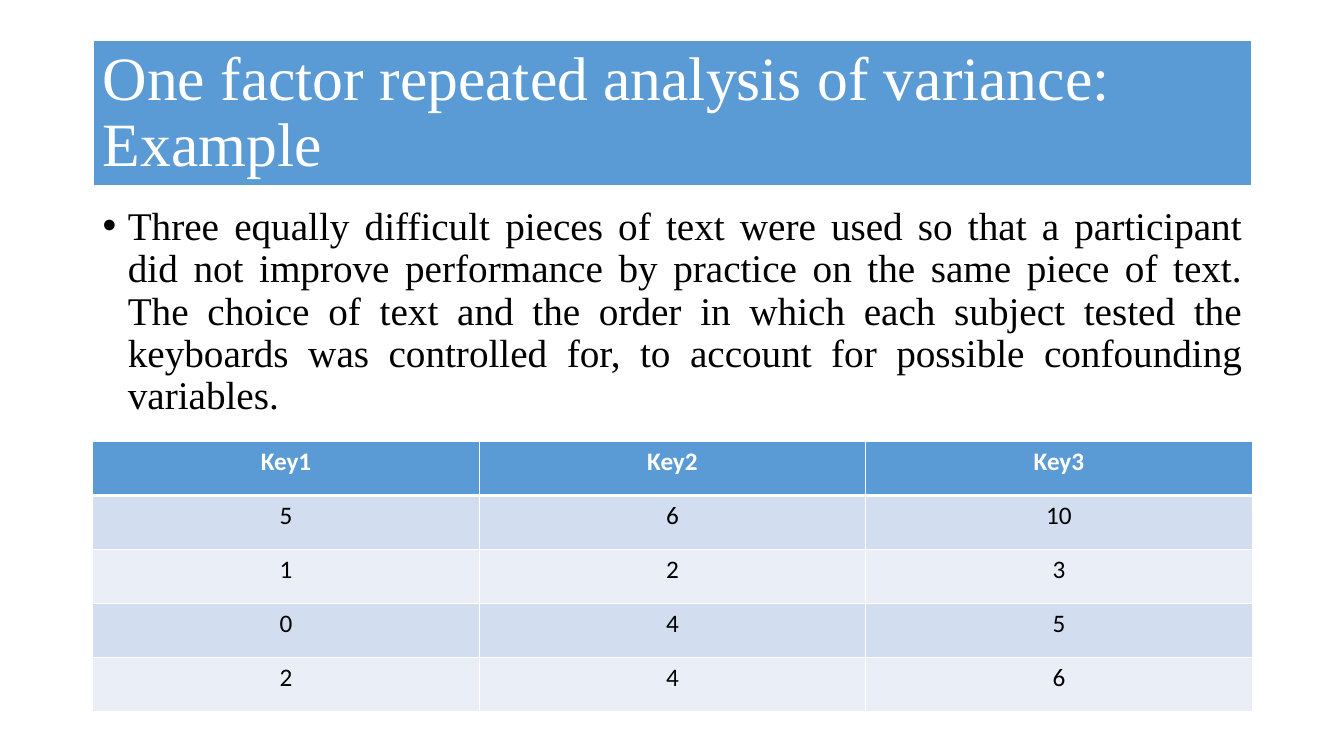
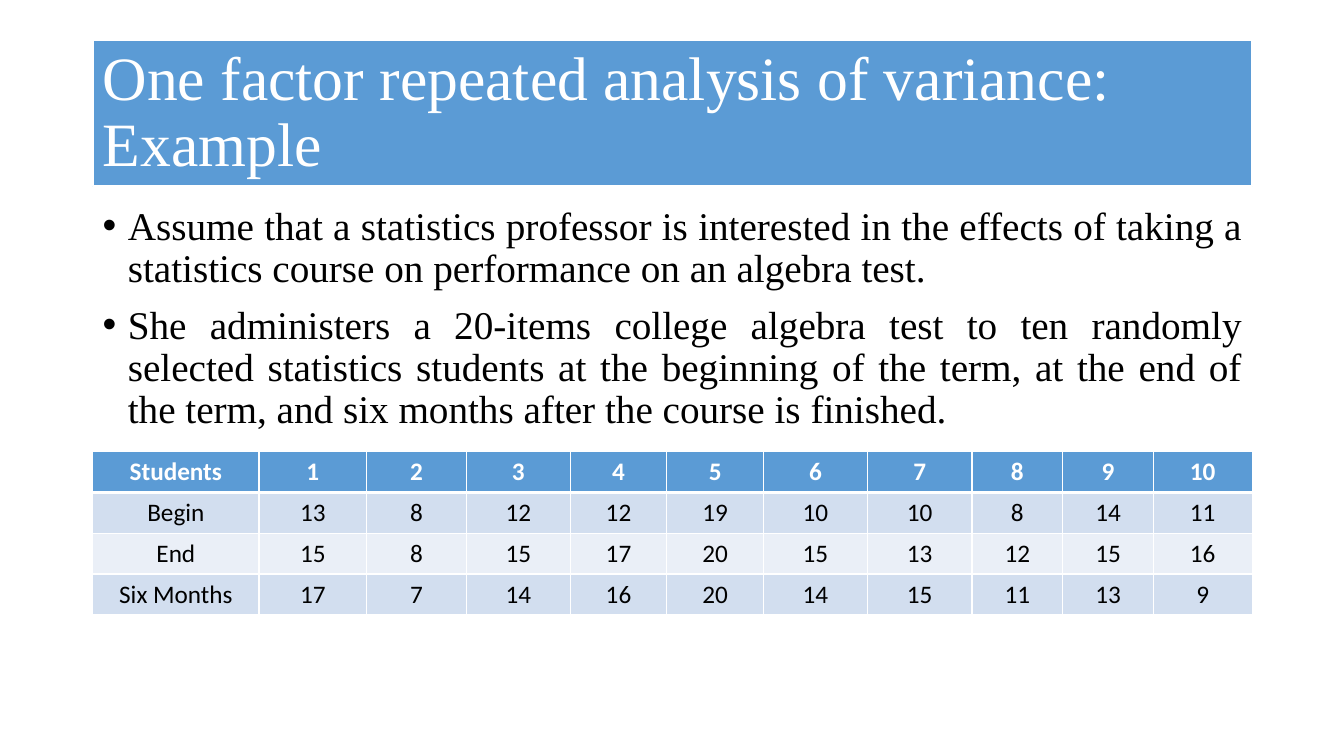
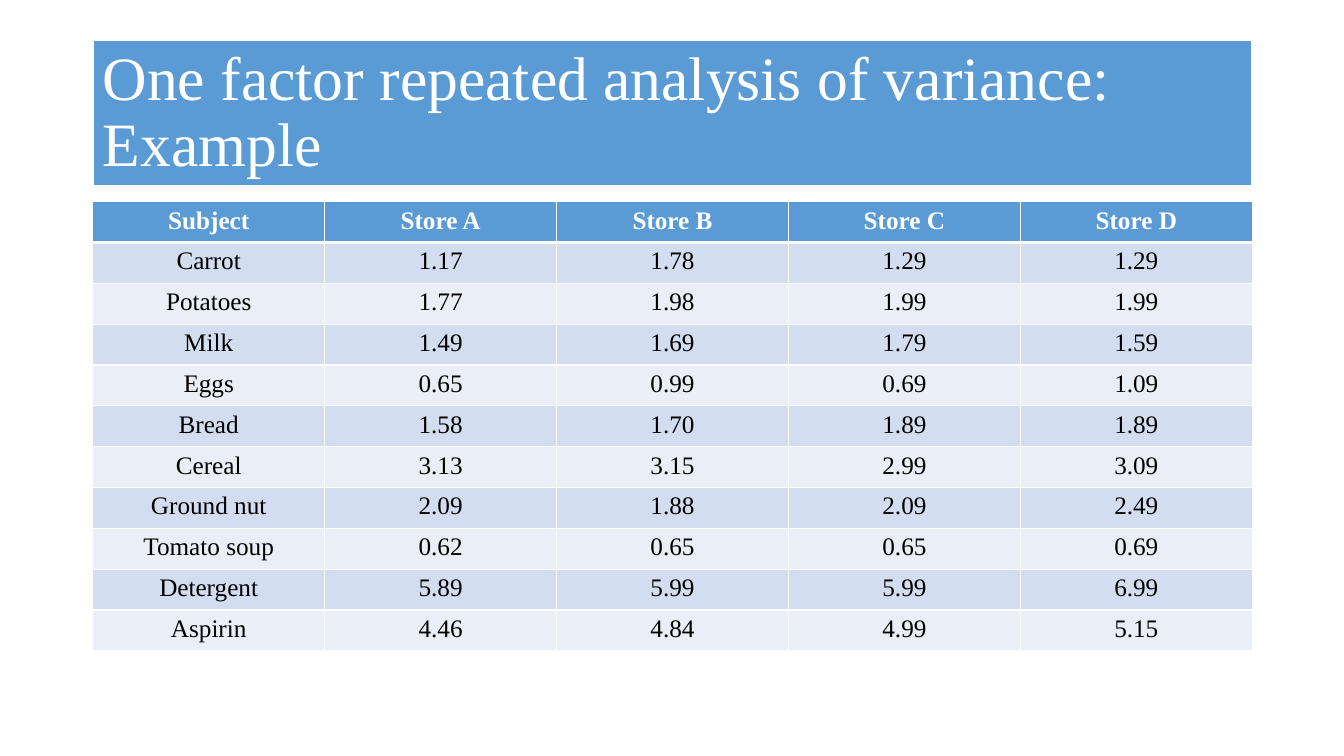
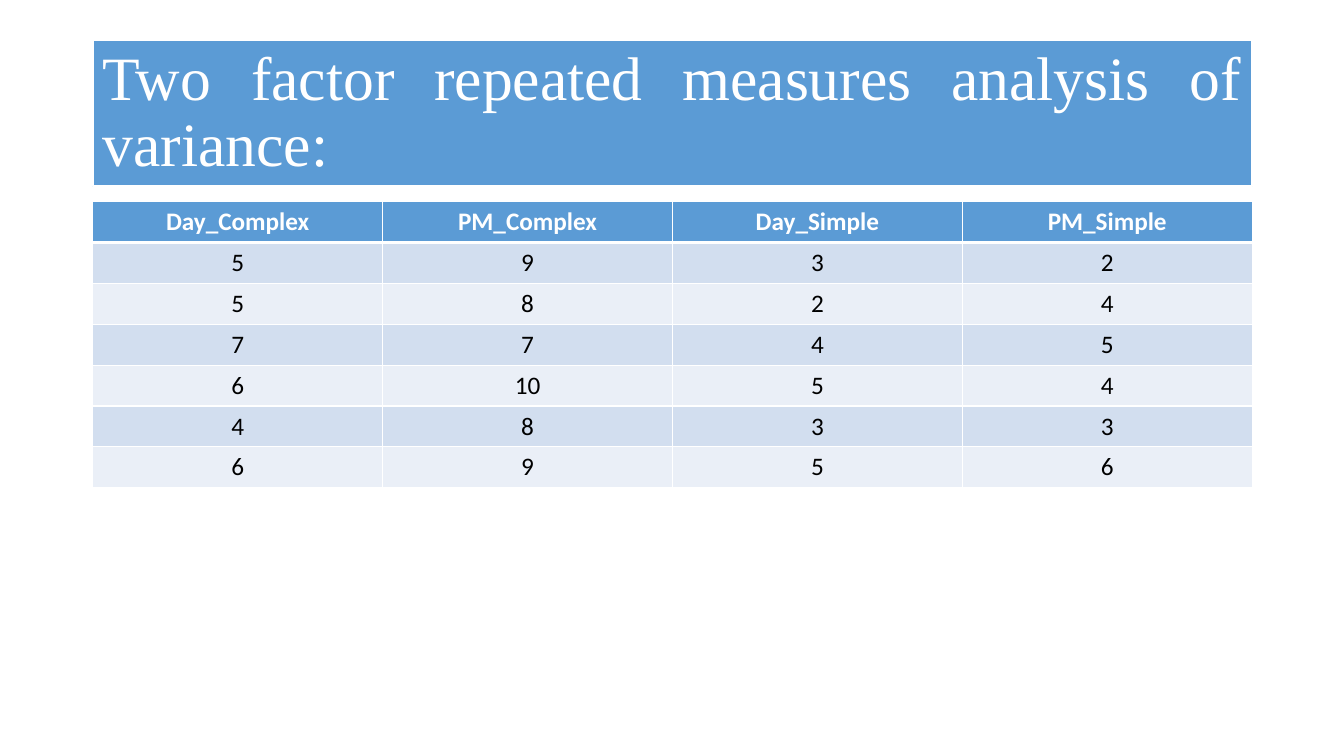
from dataclasses import dataclass

from lxml import etree
from pptx import Presentation
from pptx.dml.color import RGBColor
from pptx.enum.shapes import MSO_SHAPE
from pptx.enum.text import MSO_ANCHOR, PP_ALIGN
from pptx.oxml.ns import qn
from pptx.util import Inches, Pt

RECT = MSO_SHAPE.RECTANGLE
MIDDLE = MSO_ANCHOR.MIDDLE
LEFT, CENTER, JUSTIFY = PP_ALIGN.LEFT, PP_ALIGN.CENTER, PP_ALIGN.JUSTIFY


@dataclass(frozen=True)
class Theme:
    blue: str = "5B9BD5"
    bands: tuple = ("D2DEEF", "EAEFF7")
    white: str = "FFFFFF"
    black: str = "000000"
    serif: str = "Times New Roman"
    sans: str = "Calibri"
    title: int = 44
    body: int = 28
    cell: int = 18
    thin: int = 1
    thick: int = 3


THEME = Theme()
WIDE, HIGH = 13.33, 7.5
EDGE, SPAN = 0.92, 11.5
HEAD = (EDGE, 0.4, SPAN, 1.45)
BODY = (EDGE, 2, SPAN, 4.76)
ONE = "One factor repeated analysis of variance: Example"

SLIDES = [
    {
        "title": ONE,
        "points": [
            "Three equally difficult pieces of text were used so that a participant "
            "did not improve performance by practice on the same piece of text. "
            "The choice of text and the order in which each subject tested the "
            "keyboards was controlled for, to account for possible confounding "
            "variables.",
        ],
        "top": 4.38,
        "height": 2.68,
        "rows": [
            ("Key1", "Key2", "Key3"),
            (5, 6, 10),
            (1, 2, 3),
            (0, 4, 5),
            (2, 4, 6),
        ],
    },
    {
        "title": ONE,
        "points": [
            "Assume that a statistics professor is interested in the effects of "
            "taking a statistics course on performance on an algebra test. ",
            "She administers a 20-items college algebra test to ten randomly "
            "selected statistics students at the beginning of the term, at the end "
            "of the term, and six months after the course is finished.",
        ],
        "top": 4.48,
        "height": 1.62,
        "cols": (1.65, 1.07, 0.99, 1.03, 0.96, 0.96, 1.03, 1.04, 0.9, 0.9, 0.98),
        "rows": [
            ("Students", *range(1, 11)),
            ("Begin", 13, 8, 12, 12, 19, 10, 10, 8, 14, 11),
            ("End", 15, 8, 15, 17, 20, 15, 13, 12, 15, 16),
            ("Six Months", 17, 7, 14, 16, 20, 14, 15, 11, 13, 9),
        ],
    },
    {
        "title": ONE,
        "top": 2,
        "height": 4.46,
        "font": THEME.serif,
        "rows": [
            ("Subject", "Store A", "Store B", "Store C", "Store D"),
            ("Carrot", "1.17", "1.78", "1.29", "1.29"),
            ("Potatoes", "1.77", "1.98", "1.99", "1.99"),
            ("Milk", "1.49", "1.69", "1.79", "1.59"),
            ("Eggs", "0.65", "0.99", "0.69", "1.09"),
            ("Bread", "1.58", "1.70", "1.89", "1.89"),
            ("Cereal", "3.13", "3.15", "2.99", "3.09"),
            ("Ground nut", "2.09", "1.88", "2.09", "2.49"),
            ("Tomato soup", "0.62", "0.65", "0.65", "0.69"),
            ("Detergent", "5.89", "5.99", "5.99", "6.99"),
            ("Aspirin", "4.46", "4.84", "4.99", "5.15"),
        ],
    },
    {
        "title": "Two factor repeated measures analysis of variance:",
        "align": JUSTIFY,
        "top": 2,
        "height": 2.84,
        "rows": [
            ("Day_Complex", "PM_Complex", "Day_Simple", "PM_Simple"),
            (5, 9, 3, 2),
            (5, 8, 2, 4),
            (7, 7, 4, 5),
            (6, 10, 5, 4),
            (4, 8, 3, 3),
            (6, 9, 5, 6),
        ],
    },
]


def paint(fill, tone):
    fill.solid()
    fill.fore_color.rgb = RGBColor.from_string(tone)


def write(para, text, font, size, tone, align, bold=False):
    para.text = text
    para.alignment = align
    for run in para.runs:
        run.font.name = font
        run.font.size = Pt(size)
        run.font.bold = bold
        run.font.color.rgb = RGBColor.from_string(tone)


def add_title(slide, text, align):
    bar = slide.shapes.add_shape(RECT, *map(Inches, HEAD))
    bar.shadow.inherit = False
    paint(bar.fill, THEME.blue)
    paint(bar.line.fill, THEME.white)
    bar.line.width = Pt(1.5)
    frame = bar.text_frame
    frame.word_wrap = True
    frame.vertical_anchor = MIDDLE
    para = frame.paragraphs[0]
    write(para, text, THEME.serif, THEME.title, THEME.white, align)
    para.line_spacing = 0.9


def add_points(slide, points):
    frame = slide.shapes.add_textbox(*map(Inches, BODY)).text_frame
    frame.word_wrap = True
    for num, text in enumerate(points):
        para = frame.add_paragraph() if num else frame.paragraphs[0]
        write(para, text, THEME.serif, THEME.body, THEME.black, JUSTIFY)
        para.line_spacing = 0.9
        para.space_before = Pt(10)
        props = para._p.get_or_add_pPr()
        props.set("marL", str(Inches(0.25)))
        props.set("indent", str(Inches(-0.25)))
        etree.SubElement(props, qn("a:buFont")).set("typeface", "Arial")
        etree.SubElement(props, qn("a:buChar")).set("char", "•")


def add_edges(cell, row):
    props = cell._tc.get_or_add_tcPr()
    for side in "LRTB":
        heavy = (row, side) in ((0, "B"), (1, "T"))
        line = etree.SubElement(props, qn("a:ln" + side))
        line.set("w", str(Pt(THEME.thick if heavy else THEME.thin)))
        fill = etree.SubElement(line, qn("a:solidFill"))
        etree.SubElement(fill, qn("a:srgbClr")).set("val", THEME.white)


def add_grid(slide, rows, top, height, font, cols):
    count = len(rows[0])
    cols = cols or [1] * count
    place = map(Inches, (EDGE, top, SPAN, height))
    table = slide.shapes.add_table(len(rows), count, *place).table
    table.first_row = table.horz_banding = False
    for col, share in zip(table.columns, cols):
        col.width = Inches(SPAN * share / sum(cols))
    for num, values in enumerate(rows):
        head = num == 0
        table.rows[num].height = Inches(height / len(rows))
        for cell, value in zip(table.rows[num].cells, values):
            add_edges(cell, num)
            paint(cell.fill, THEME.blue if head else THEME.bands[(num - 1) % 2])
            tone = THEME.white if head else THEME.black
            para = cell.text_frame.paragraphs[0]
            write(para, str(value), font, THEME.cell, tone, CENTER, head)


def main():
    deck = Presentation()
    deck.slide_width, deck.slide_height = Inches(WIDE), Inches(HIGH)
    for item in SLIDES:
        slide = deck.slides.add_slide(deck.slide_layouts[6])
        add_title(slide, item["title"], item.get("align", LEFT))
        if "points" in item:
            add_points(slide, item["points"])
        add_grid(slide, item["rows"], item["top"], item["height"],
                 item.get("font", THEME.sans), item.get("cols"))
    deck.save("out.pptx")


if __name__ == "__main__":
    main()
